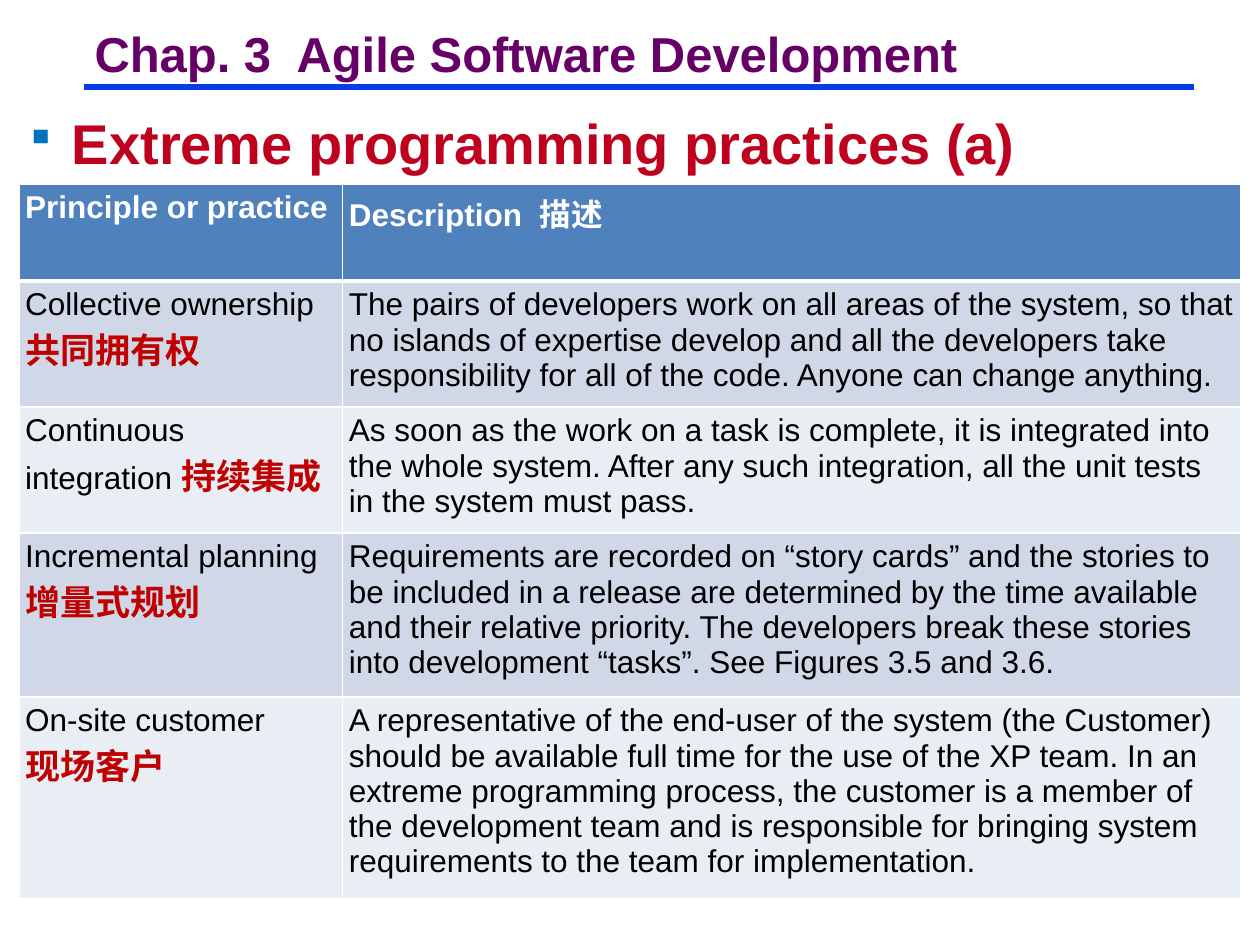
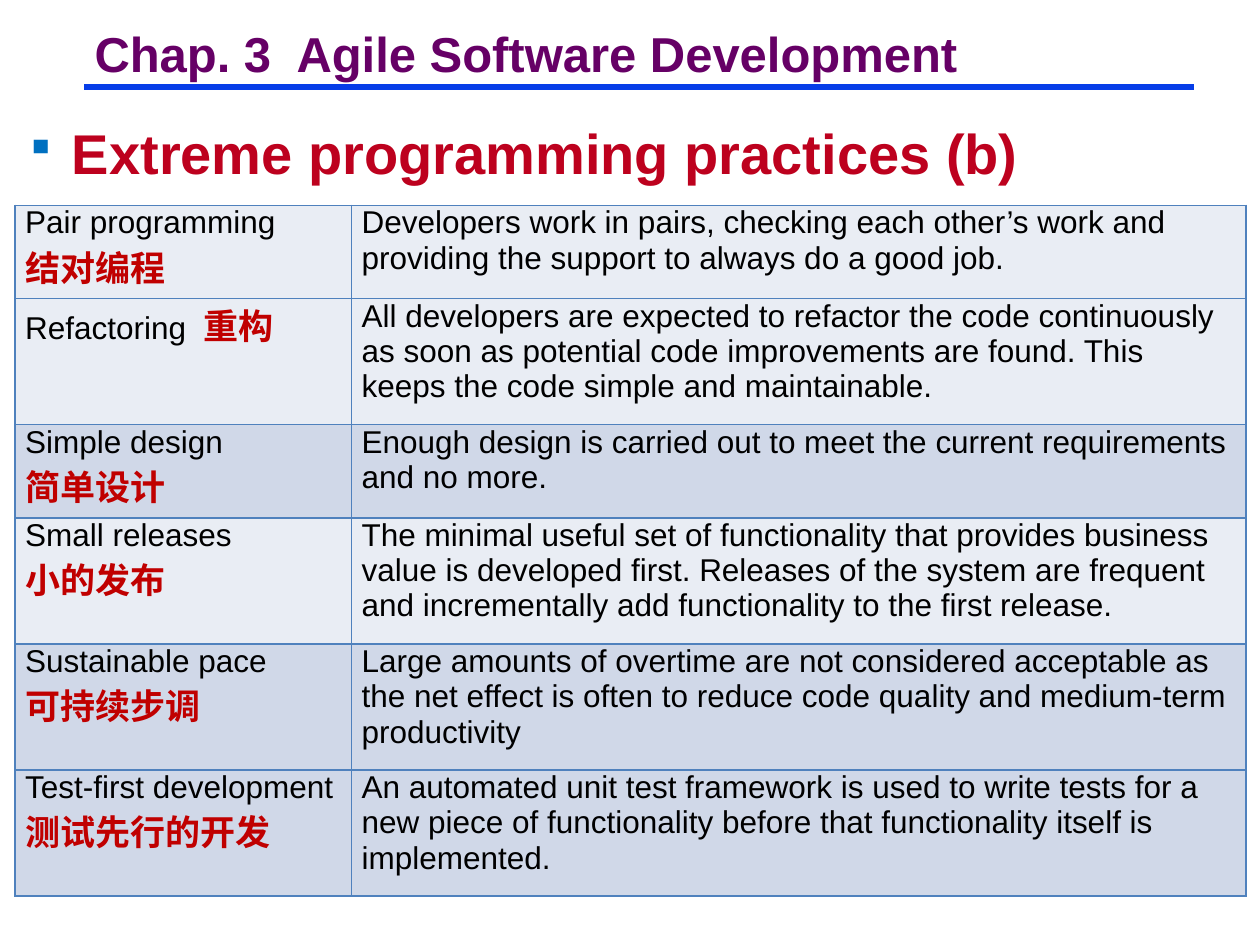
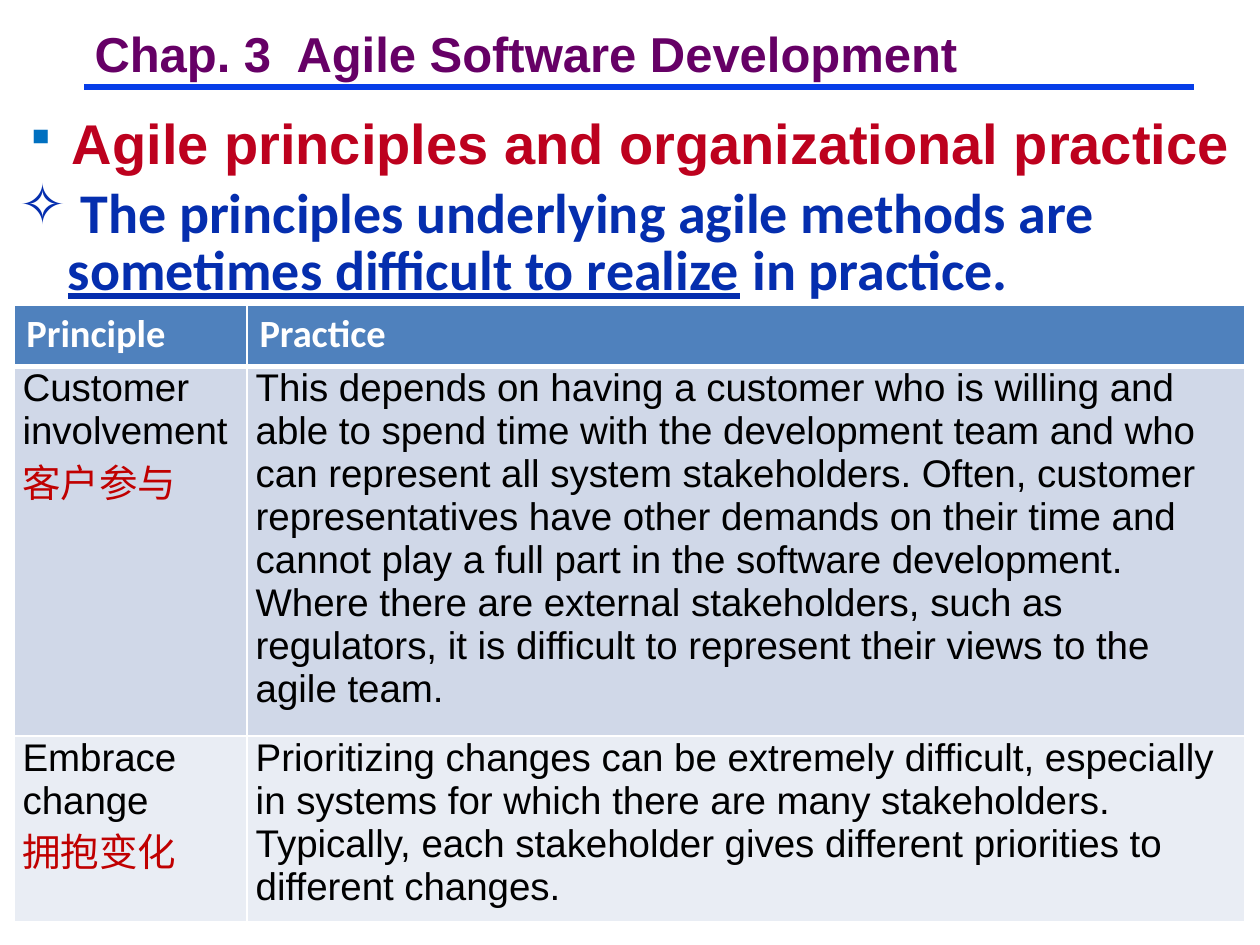
"""Build three slides on extreme programming practices and agile principles."""
from lxml.etree import SubElement
from pptx import Presentation
from pptx.dml.color import RGBColor
from pptx.enum.shapes import MSO_CONNECTOR
from pptx.enum.text import MSO_ANCHOR, PP_ALIGN
from pptx.oxml.ns import qn
from pptx.util import Inches, Pt

COLORS = {
    "title": "660066", "rule": "063DE8", "bullet": "0070C0", "heading": "BD011E",
    "statement": "052EAE", "header": "4F81BD", "dark": "D0D8E8", "light": "E9EDF4",
    "white": "FFFFFF", "black": "000000", "chinese": "C00000",
}
CHINESE_FONT = "Noto Sans CJK SC"

SLIDES = [
    {
        "heading": "Extreme programming practices (a)", "heading_top": 0.81,
        "at": (0.15, 1.46), "columns": (2.57, 7.13), "insets": (0.05, 0.05, 0.05, 0.05),
        "header_insets": (0.05, 0.05, 0.05, 0.05), "header_font": "Arial",
        "border": "white", "size": 18, "chinese_size": 20, "chinese_bold": True,
        "rows": [
            (0.77, "header", [["Principle or practice"]], [["Description  ", "描述"]]),
            (1, "dark", [["Collective ownership"], ["共同拥有权"]],
             [["The pairs of developers work on all areas of the system, so that no islands of "
               "expertise develop and all the developers take responsibility for all of the code. "
               "Anyone can change anything."]]),
            (1, "light", [["Continuous integration ", "持续集成"]],
             [["As soon as the work on a task is complete, it is integrated into the whole system. "
               "After any such integration, all the unit tests in the system must pass."]]),
            (1.3, "dark", [["Incremental planning"], ["增量式规划"]],
             [["Requirements are recorded on “story cards” and the stories to be included in a "
               "release are determined by the time available and their relative priority. The "
               "developers break these stories into development “tasks”. See Figures 3.5 and 3.6."]]),
            (1.6, "light", [["On-site customer"], ["现场客户"]],
             [["A representative of the end-user of the system (the Customer) should be available "
               "full time for the use of the XP team. In an extreme programming process, the "
               "customer is a member of the development team and is responsible for bringing "
               "system requirements to the team for implementation."]]),
        ],
    },
    {
        "heading": "Extreme programming practices (b)", "heading_top": 0.89,
        "at": (0.12, 1.63), "columns": (2.67, 7.1), "insets": (0.08, 0, 0.08, 0.1),
        "border": "header", "size": 18, "chinese_size": 20, "chinese_bold": True,
        "rows": [
            (0.74, "light", [["Pair programming"], ["结对编程"]],
             [["Developers work in pairs, checking each other’s work and providing the support to "
               "always do a good job."]]),
            (1, "light", [["Refactoring  ", "重构"]],
             [["All developers are expected to refactor the code continuously as soon as potential "
               "code improvements are found. This keeps the code simple and maintainable."]]),
            (0.74, "dark", [["Simple design"], ["简单设计"]],
             [["Enough design is carried out to meet the current requirements and no more."]]),
            (1, "light", [["Small releases"], ["小的发布"]],
             [["The minimal useful set of functionality that provides business value is developed "
               "first. Releases of the system are frequent and incrementally add functionality to "
               "the first release."]]),
            (1, "dark", [["Sustainable pace"], ["可持续步调"]],
             [["Large amounts of overtime are not considered acceptable as the net effect is often "
               "to reduce code quality and medium-term productivity"]]),
            (1, "dark", [["Test-first development"], ["测试先行的开发"]],
             [["An automated unit test framework is used to write tests for a new piece of "
               "functionality before that functionality itself is implemented."]]),
        ],
    },
    {
        "heading": "Agile principles and organizational practice", "heading_top": 0.81,
        "statement": [(" The principles underlying agile methods are ", False),
                      ("sometimes difficult to realize", True), (" in practice.", False)],
        "at": (0.11, 2.42), "columns": (1.85, 7.92), "insets": (0.07, 0, 0.07, 0),
        "header_insets": (0.1, 0.05, 0.1, 0.05), "header_font": "Calibri",
        "border": "white", "size": 22, "chinese_size": 22, "chinese_bold": False,
        "rows": [
            (0.49, "header", [["Principle"]], [["Practice"]]),
            (2.93, "dark", [["Customer involvement"], ["客户参与"]],
             [["This depends on having a customer who is willing and able to spend time with the "
               "development team and who can represent all system stakeholders. Often, customer "
               "representatives have other demands on their time and cannot play a full part in "
               "the software development."],
              ["Where there are external stakeholders, such as regulators, it is difficult to "
               "represent their views to the agile team."]]),
            (1.47, "light", [["Embrace change"], ["拥抱变化"]],
             [["Prioritizing changes can be extremely difficult, especially in systems for which "
               "there are many stakeholders. Typically, each stakeholder gives different "
               "priorities to different changes."]]),
        ],
    },
]


def add_run(paragraph, text, size, color, font="Arial", bold=True):
    run = paragraph.add_run()
    run.text = text
    run.font.size = Pt(size)
    run.font.bold = bold
    run.font.name = font
    run.font.color.rgb = RGBColor.from_string(COLORS[color])
    if "一" <= text[0] <= "鿿":
        SubElement(run.font._element, qn("a:ea"), typeface=CHINESE_FONT)
    return run


def add_bullet_box(slide, top, height, bullet, indent, bullet_percent):
    box = slide.shapes.add_textbox(Inches(0.1), Inches(top), Inches(9.82), Inches(height))
    box.text_frame.word_wrap = True
    paragraph = box.text_frame.paragraphs[0]
    properties = paragraph._p.get_or_add_pPr()
    properties.set("marL", str(Inches(indent)))
    properties.set("indent", str(-Inches(indent)))
    SubElement(properties, qn("a:buSzPct"), val=str(bullet_percent * 1000))
    SubElement(properties, qn("a:buChar"), char=bullet)
    return box, paragraph


presentation = Presentation()
presentation.slide_width = Inches(10)
presentation.slide_height = Inches(7.5)

for content in SLIDES:
    slide = presentation.slides.add_slide(presentation.slide_layouts[5])

    rule = slide.shapes.add_connector(
        MSO_CONNECTOR.STRAIGHT, Inches(0.67), Inches(0.69), Inches(9.48), Inches(0.69))
    rule.line.color.rgb = RGBColor.from_string(COLORS["rule"])
    rule.line.width = Pt(3.75)
    SubElement(rule._element.spPr, qn("a:effectLst"))

    title = slide.shapes.title
    title.left, title.top = Inches(0.68), Inches(0.22)
    title.width, title.height = Inches(7.01), Inches(0.46)
    frame = title.text_frame
    frame.margin_left = frame.margin_right = Inches(0.07)
    frame.margin_top = frame.margin_bottom = Inches(0.03)
    frame.word_wrap = False
    frame.vertical_anchor = MSO_ANCHOR.MIDDLE
    paragraph = frame.paragraphs[0]
    paragraph.alignment = PP_ALIGN.LEFT
    paragraph.line_spacing = 0.87
    add_run(paragraph, "Chap. 3  Agile Software Development", 28, "title")

    heading, paragraph = add_bullet_box(slide, content["heading_top"], 0.64, "▪", 0.22, 75)
    add_run(paragraph, " ", 32, "bullet")
    add_run(paragraph, content["heading"], 32, "heading")

    if "statement" in content:
        statement, paragraph = add_bullet_box(slide, 1.44, 0.96, "✧", 0.38, 100)
        statement.left, statement.width = Inches(0.06), Inches(9.88)
        paragraph.line_spacing = 0.85
        for text, underlined in content["statement"]:
            run = add_run(paragraph, text, 32, "statement", "Calibri")
            run.font.underline = underlined

    rows = content["rows"]
    left, top = content["at"]
    table = slide.shapes.add_table(
        len(rows), 2, Inches(left), Inches(top),
        Inches(sum(content["columns"])), Inches(sum(row[0] for row in rows))).table
    table.first_row = table.horz_banding = False
    for column, width in zip(table.columns, content["columns"]):
        column.width = Inches(width)

    for row_index, (height, fill, *cells) in enumerate(rows):
        table.rows[row_index].height = Inches(height)
        is_header = fill == "header"
        below_header = row_index > 0 and rows[row_index - 1][1] == "header"
        insets = content["header_insets" if is_header else "insets"]
        for column_index, paragraphs in enumerate(cells):
            cell = table.cell(row_index, column_index)
            (cell.margin_left, cell.margin_top,
             cell.margin_right, cell.margin_bottom) = map(Inches, insets)
            properties = cell._tc.get_or_add_tcPr()
            for side in ("lnL", "lnR", "lnT", "lnB"):
                thick = (is_header and side == "lnB") or (below_header and side == "lnT")
                border = SubElement(properties, qn(f"a:{side}"), w=str(Pt(3 if thick else 1)))
                SubElement(SubElement(border, qn("a:solidFill")), qn("a:srgbClr"),
                           val=COLORS[content["border"]])
            cell.fill.solid()
            cell.fill.fore_color.rgb = RGBColor.from_string(COLORS[fill])

            frame = cell.text_frame
            for paragraph_index, texts in enumerate(paragraphs):
                paragraph = frame.add_paragraph() if paragraph_index else frame.paragraphs[0]
                for text in texts:
                    if is_header:
                        add_run(paragraph, text, content["size"], "white", content["header_font"])
                    elif "一" <= text[0] <= "鿿":
                        add_run(paragraph, text, content["chinese_size"], "chinese",
                                CHINESE_FONT, content["chinese_bold"])
                    else:
                        add_run(paragraph, text, content["size"], "black", bold=False)

presentation.save("out.pptx")
